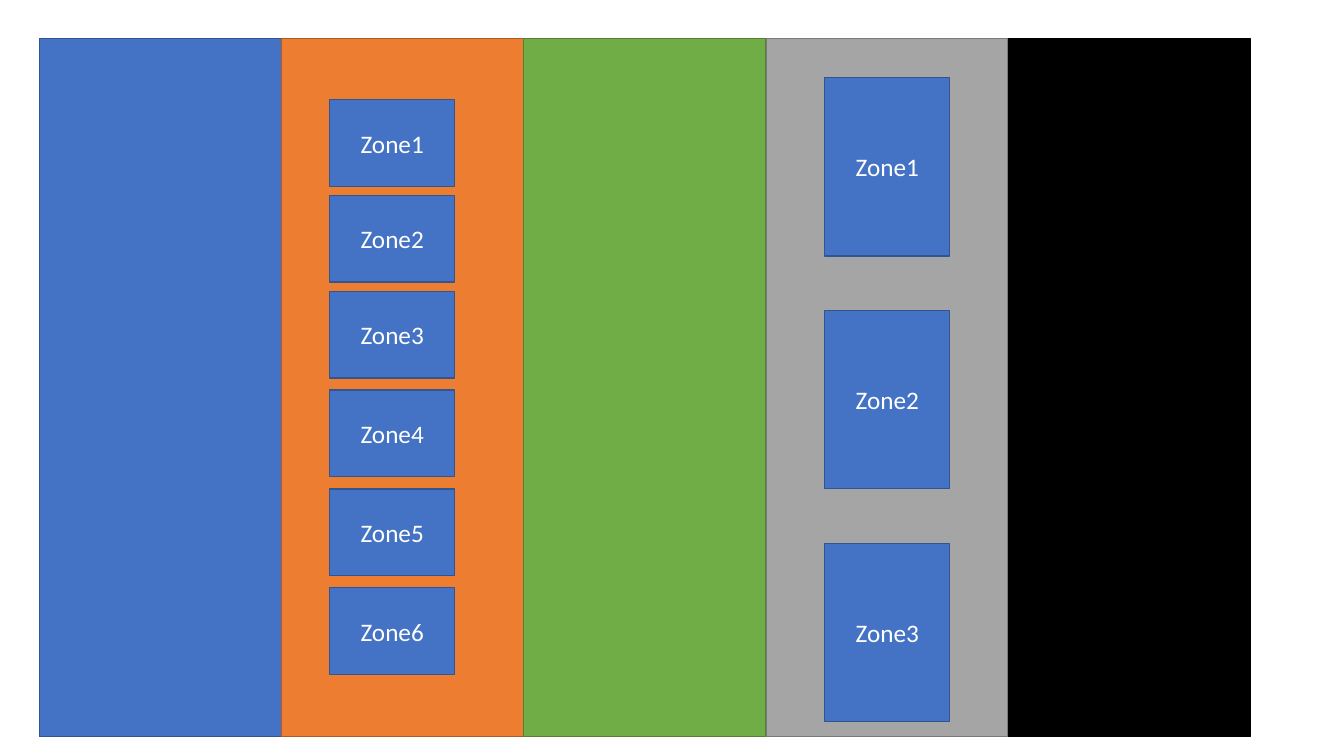
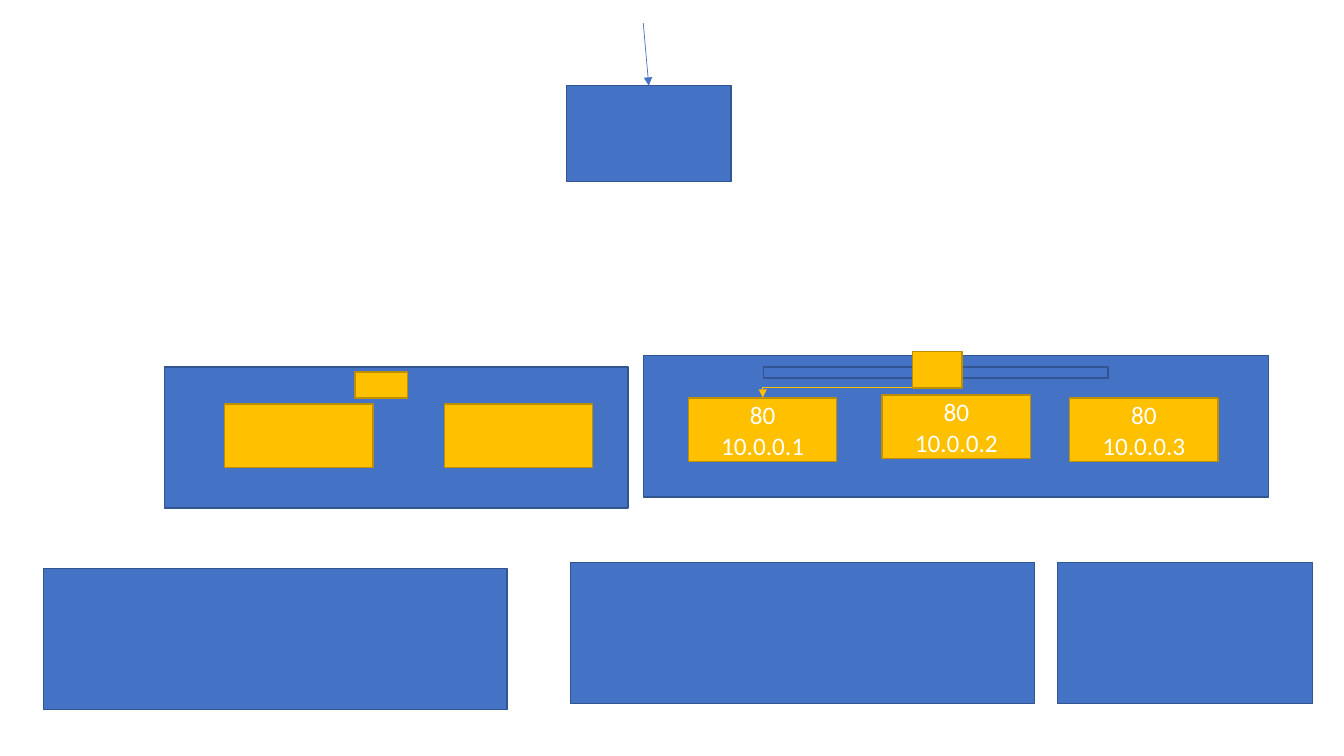
from lxml import etree
from pptx import Presentation
from pptx import util as u
from pptx.dml.color import RGBColor
from pptx.enum import shapes, text
from pptx.oxml.ns import qn

PX = 9144
FONT = "Calibri"
WHITE = "FFFFFF"
BLUE = ("4472C4", "325491")
ORANGE = ("ED7D31", "AF5C24")
GREEN = ("70AD47", "538035")
GRAY = ("A5A5A5", "7A7A7A")
BLACK = ("000000", "000000")
GOLD = ("FFC000", "BD8E00")
BACKDROP = (WHITE, "4472C4")


def px(*lengths):
    return [u.Emu(length * PX) for length in lengths]


def color(value):
    return RGBColor.from_string(value)


def add_box(slide, left, top, width, height, scheme=BLUE, label=""):
    shape = slide.shapes.add_shape(
        shapes.MSO_SHAPE.RECTANGLE, *px(left, top, width, height))
    fill, line = scheme
    shape.shadow.inherit = False
    shape.fill.solid()
    shape.fill.fore_color.rgb = color(fill)
    shape.line.color.rgb = color(line)
    shape.line.width = u.Pt(1)
    if label:
        frame = shape.text_frame
        frame.text = label
        frame.vertical_anchor = text.MSO_ANCHOR.MIDDLE
        for paragraph in frame.paragraphs:
            paragraph.alignment = text.PP_ALIGN.CENTER
            font = paragraph.runs[0].font
            font.name = FONT
            font.size = u.Pt(18)
            font.color.rgb = color(WHITE)
    return shape


def add_arrow(slide, kind, start, end, line_color):
    connector = slide.shapes.add_connector(kind, *px(*start, *end))
    connector.line.color.rgb = color(line_color)
    connector.line.width = u.Pt(0.5)
    properties = connector._element.spPr
    etree.SubElement(properties.find(qn("a:ln")), qn("a:tailEnd"), type="triangle")
    etree.SubElement(properties, qn("a:effectLst"))
    return connector


def add_zones(slide, left, tops, height):
    for number, top in enumerate(tops, 1):
        add_box(slide, left, top, 124, height, label=f"Zone{number}")


def build_zones_slide(slide):
    left, top, width, height = 39, 38, 1201, 693
    add_box(slide, left, top, width, height, BACKDROP)
    schemes = [BLUE, ORANGE, GREEN, GRAY, BLACK]
    for index, scheme in enumerate(schemes):
        column_left = left + round(index * width / len(schemes))
        add_box(slide, column_left, top, 240, height, scheme)
    add_zones(slide, 818, range(77, 540, 231), 177)
    add_zones(slide, 327, [99, 194, 289, 387, 485, 583], 86)


def build_network_slide(slide):
    add_box(slide, 638, 353, 620, 140)
    add_box(slide, 163, 364, 460, 140)

    nodes = [
        (223, 401, ""),
        (441, 401, ""),
        (683, 395, "80\n10.0.0.1"),
        (875, 392, "80\n10.0.0.2"),
        (1061, 395, "80\n10.0.0.3"),
    ]
    for left, top, label in nodes:
        add_box(slide, left, top, 147, 63, GOLD, label)

    entry = add_box(slide, 562, 85, 163, 95)
    add_box(slide, 757, 364, 342, 11)

    route = add_arrow(slide, shapes.MSO_CONNECTOR.ELBOW,
                      (832, 299), (852, 470), GOLD[0])
    route._element.spPr.find(qn("a:xfrm")).set("rot", str(90 * 60000))

    add_box(slide, 905, 349, 49, 36, GOLD)
    add_box(slide, 352, 369, 52, 26, GOLD)

    for left, top, width in [(43, 564, 460), (566, 558, 460), (1049, 558, 253)]:
        add_box(slide, left, top, width, 140)

    incoming = add_arrow(slide, shapes.MSO_CONNECTOR.STRAIGHT,
                         (638, 23), (643, 85), BLUE[0])
    incoming.end_connect(entry, 0)


def main():
    presentation = Presentation()
    presentation.slide_width, presentation.slide_height = px(1333, 750)
    blank = presentation.slide_layouts[6]
    for build in (build_zones_slide, build_network_slide):
        build(presentation.slides.add_slide(blank))
    presentation.save("out.pptx")


if __name__ == "__main__":
    main()
